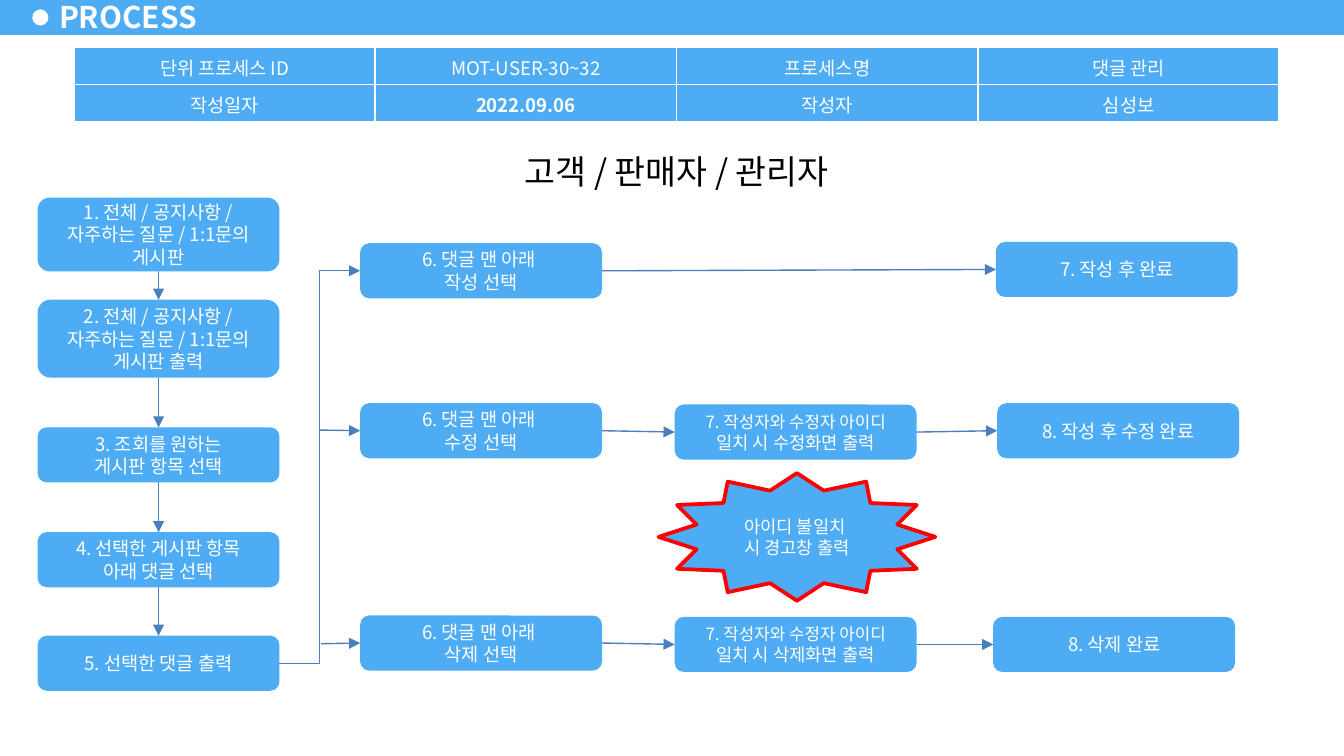
"""Build the comment management process slide."""
from lxml.etree import SubElement
from pptx import Presentation
from pptx.dml.color import RGBColor
from pptx.enum.shapes import MSO_CONNECTOR, MSO_SHAPE
from pptx.enum.text import MSO_ANCHOR, PP_ALIGN
from pptx.oxml.ns import qn
from pptx.util import Inches, Pt

RECT, ROUND = MSO_SHAPE.RECTANGLE, MSO_SHAPE.ROUNDED_RECTANGLE
OVAL, STAR = MSO_SHAPE.OVAL, MSO_SHAPE.STAR_12_POINT
LINE, ELBOW = MSO_CONNECTOR.STRAIGHT, MSO_CONNECTOR.ELBOW
MIDDLE, TOP = MSO_ANCHOR.MIDDLE, MSO_ANCHOR.TOP
CENTER, LEFT = PP_ALIGN.CENTER, PP_ALIGN.LEFT
FONT = "Noto Sans CJK KR"
BLUE, WHITE, BLACK, RED, STEEL = "4DACF3", "FFFFFF", "000000", "FF0000", "4B7EBC"
UP, WEST, DOWN, EAST = range(4)
BOX_W, BOX_H = 1.8, 0.41

TABLE = [
    ["단위 프로세스 ID", "MOT-USER-30~32", "프로세스명", "댓글 관리"],
    ["작성일자", "2022.09.06", "작성자", "심성보"],
]
BOLD = "2022.09.06"
STEPS = [
    (1.47, 0.55, "1. 전체 / 공지사항 / 자주하는 질문 / 1:1문의 게시판"),
    (2.23, 0.58, "2. 전체 / 공지사항 / 자주하는 질문 / 1:1문의 게시판 출력"),
    (3.18, BOX_H, "3. 조회를 원하는\n게시판 항목 선택"),
    (3.96, BOX_H, "4. 선택한 게시판 항목\n아래 댓글 선택"),
    (4.73, BOX_H, "5. 선택한 댓글 출력"),
]
FLOWS = [
    [(2.68, 1.81, "6. 댓글 맨 아래 \v작성 선택", [10]),
     (7.41, 1.8, "7. 작성 후 완료", [10])],
    [(2.68, 3, "6. 댓글 맨 아래 \v수정 선택", [10]),
     (5.02, 3.01, "7. 작성자와 수정자 아이디\n일치 시 수정화면 출력", [9, 9.5]),
     (7.42, 3, "8. 작성 후 수정 완료", [10])],
    [(2.68, 4.58, "6. 댓글 맨 아래 \v삭제 선택", [10]),
     (5.02, 4.59, "7. 작성자와 수정자 아이디\n일치 시 삭제화면 출력", [9, 9.5]),
     (7.39, 4.59, "8. 삭제 완료", [10])],
]
FORKS = [(2.38, 3.2), (2.39, 4.79)]

deck = Presentation()
deck.slide_width = Inches(10)
deck.slide_height = deck.slide_width * 9 // 16
slide = deck.slides.add_slide(deck.slide_layouts[6])
shapes = slide.shapes


def rgb(code):
    return RGBColor.from_string(code)


def write(frame, text, sizes=(10,), color=WHITE, bold=False, align=CENTER):
    frame.text = text
    for i, para in enumerate(frame.paragraphs):
        para.alignment = align
        look = {"size": Pt(sizes[min(i, len(sizes) - 1)]), "name": FONT, "bold": bold}
        for run in para.runs:
            for key, value in look.items():
                setattr(run.font, key, value)
            run.font.color.rgb = rgb(color)
            SubElement(run.font._element, qn("a:ea"), typeface=FONT)


def block(kind, x, y, w, h, fill=BLUE, edge=None):
    shape = shapes.add_shape(kind, *map(Inches, (x, y, w, h)))
    shape.shadow.inherit = False
    shape.fill.solid()
    shape.fill.fore_color.rgb = rgb(fill)
    if edge:
        shape.line.color.rgb = rgb(edge)
        shape.line.width = Pt(2)
    else:
        shape.line.fill.background()
    shape.text_frame.word_wrap = True
    shape.text_frame.vertical_anchor = MIDDLE
    return shape


def node(x, y, h, text, sizes=(10,)):
    shape = block(ROUND, x, y, BOX_W, h)
    write(shape.text_frame, text, sizes)
    return shape


def arrow(goal, side, start=None, exit=None, point=(0, 0), kind=LINE):
    x, y = map(Inches, point)
    link = shapes.add_connector(kind, x, y, x, y)
    if start:
        link.begin_connect(start, exit)
    link.end_connect(goal, side)
    link.line.color.rgb = rgb(STEEL)
    link.line.width = Pt(0.75)
    SubElement(link.line._get_or_add_ln(), qn("a:tailEnd"), type="triangle")
    SubElement(link._element.spPr, qn("a:effectLst"))


def border(cell):
    props = cell._tc.get_or_add_tcPr()
    for i, side in enumerate(("lnL", "lnR", "lnT", "lnB")):
        line = props.makeelement(qn("a:" + side), {"w": str(Pt(1))})
        props.insert(i, line)
        SubElement(SubElement(line, qn("a:solidFill")), qn("a:srgbClr"), val=WHITE)


block(RECT, 0, -0.02, 10, 0.28)
block(OVAL, 0.24, 0.07, 0.12, 0.12, WHITE)
title = shapes.add_textbox(*map(Inches, (0.35, -0.04, 1.22, 0.32))).text_frame
title.word_wrap = True
title.vertical_anchor = MIDDLE
title.margin_top = title.margin_bottom = Inches(0.04)
title.margin_left = title.margin_right = Inches(0.09)
write(title, "PROCESS", [16], bold=True, align=LEFT)

roles = block(RECT, 3.25, 1.07, 3.57, 0.41, WHITE).text_frame
roles.vertical_anchor = TOP
write(roles, "고객 / 판매자 / 관리자", [18], BLACK)

grid = shapes.add_table(2, 4, *map(Inches, (0.55, 0.35, 8.97, 0.56))).table
for r, row in enumerate(TABLE):
    for c, text in enumerate(row):
        cell = grid.cell(r, c)
        cell.fill.solid()
        cell.fill.fore_color.rgb = rgb(BLUE)
        cell.vertical_anchor = MIDDLE
        write(cell.text_frame, text, bold=text == BOLD)
        border(cell)

steps = [node(0.28, y, h, text) for y, h, text in STEPS]
flows = [[node(x, y, BOX_H, text, sizes) for x, y, text, sizes in flow] for flow in FLOWS]
star = block(STAR, 4.9, 3.52, 2.06, 0.95, edge=RED)
write(star.text_frame, "아이디 불일치 \n시 경고창 출력", [9.5])

arrow(flows[0][0], WEST, steps[-1], EAST, kind=ELBOW)
for flow, point in zip(flows[1:], FORKS):
    arrow(flow[0], WEST, point=point)
for flow in flows:
    for here, there in zip(flow, flow[1:]):
        arrow(there, WEST, here, EAST)
for here, there in zip(steps, steps[1:]):
    arrow(there, UP, here, DOWN)

deck.save("out.pptx")
